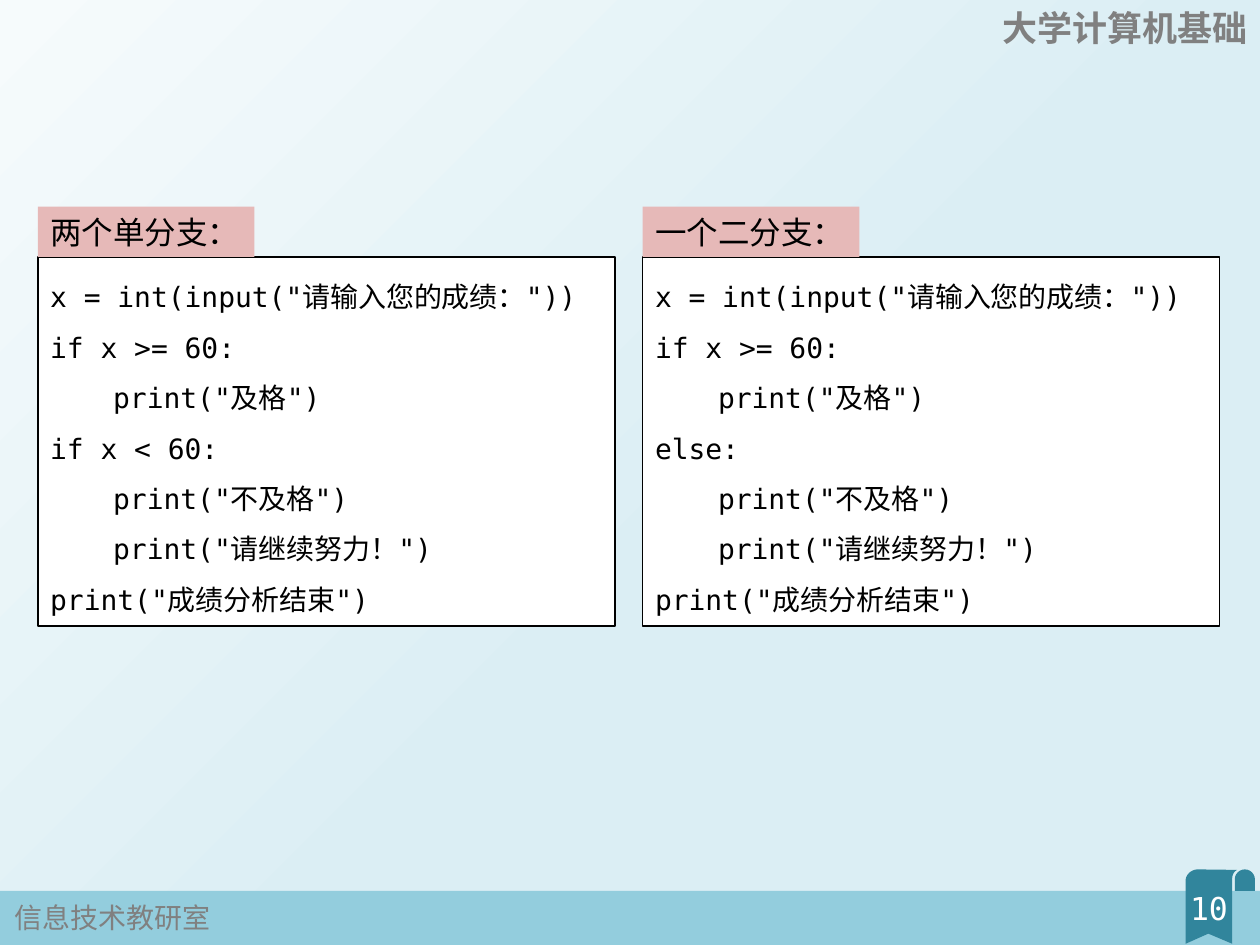
"""Build a slide comparing two single branches with one two-way branch."""
import math

import lxml.etree
import pptx
import pptx.dml.color
import pptx.enum.shapes
import pptx.enum.text
import pptx.oxml.ns
import pptx.util

Inches = pptx.util.Inches
RGBColor = pptx.dml.color.RGBColor
Align = pptx.enum.text.PP_ALIGN

BLACK = RGBColor(0x00, 0x00, 0x00)
WHITE = RGBColor(0xFF, 0xFF, 0xFF)
GRAY = RGBColor(0x80, 0x80, 0x80)
PINK = RGBColor(0xE6, 0xB9, 0xB8)
TEAL = RGBColor(0x31, 0x85, 0x9C)
SKY = RGBColor(0x93, 0xCD, 0xDD)
PALE = RGBColor(0xF6, 0xFB, 0xFC)
ICE = RGBColor(0xDB, 0xEE, 0xF4)

MONO = "DejaVu Sans Mono"
CJK = "Noto Sans CJK JP"


def arc(center_x, center_y, radius_x, radius_y, start, end, steps=12):
    angles = [math.radians(start + (end - start) * i / steps) for i in range(steps + 1)]
    return [(center_x + radius_x * math.cos(a), center_y - radius_y * math.sin(a))
            for a in angles]


class SlideBuilder:
    def __init__(self, slide):
        self.slide = slide

    def background(self, first, last, position):
        fill = self.slide.background.fill
        fill.gradient()
        fill.gradient_angle = 315
        for stop, color, place in zip(fill.gradient_stops, (first, last), (0, position)):
            stop.color.rgb = color
            stop.position = place

    def paint(self, shape, fill, line=None):
        shape.shadow.inherit = False
        shape.fill.solid()
        shape.fill.fore_color.rgb = fill
        if line is None:
            shape.line.fill.background()
        else:
            shape.line.color.rgb = line
            shape.line.width = pptx.util.Pt(1)

    def box(self, left, top, width, height, fill, line=None):
        shape = self.slide.shapes.add_shape(
            pptx.enum.shapes.MSO_SHAPE.RECTANGLE,
            Inches(left), Inches(top), Inches(width), Inches(height))
        self.paint(shape, fill, line)
        return shape

    def outline(self, contours, fill):
        builder = None
        for contour in contours:
            points = [(Inches(x), Inches(y)) for x, y in contour]
            if builder is None:
                builder = self.slide.shapes.build_freeform(*points[0], scale=1.0)
            else:
                builder.move_to(*points[0])
            builder.add_line_segments(points[1:], close=True)
        self.paint(builder.convert_to_shape(), fill)

    def set_text(self, shape, text, size, color=BLACK, font=MONO, bold=False,
                 align=Align.LEFT, spacing=None, wrap=True):
        frame = shape.text_frame
        frame.word_wrap = wrap
        frame.vertical_anchor = pptx.enum.text.MSO_ANCHOR.TOP
        frame.text = text
        for paragraph in frame.paragraphs:
            paragraph.alignment = align
            paragraph.line_spacing = spacing
            paragraph.font.size = pptx.util.Pt(size)
            paragraph.font.bold = bold
            paragraph.font.color.rgb = color
            paragraph.font.name = font
            properties = paragraph._p.pPr.find(pptx.oxml.ns.qn("a:defRPr"))
            east_asian = lxml.etree.SubElement(properties, pptx.oxml.ns.qn("a:ea"))
            east_asian.set("typeface", CJK)

    def text(self, left, top, width, height, text, size, **style):
        shape = self.slide.shapes.add_textbox(
            Inches(left), Inches(top), Inches(width), Inches(height))
        self.set_text(shape, text, size, **style)

    def code_panel(self, left, label, code):
        self.set_text(self.box(left, 2.04, 4.58, 2.93, WHITE, BLACK), code, 16, spacing=1.5)
        self.set_text(self.box(left, 1.64, 1.72, 0.4, PINK), label, 18, wrap=False)


CODE = """x = int(input("请输入您的成绩："))
if x >= 60:
\tprint("及格")
{branch}:
\tprint("不及格")
\tprint("请继续努力！")
print("成绩分析结束")"""

PANELS = [("两个单分支：", "if x < 60"), ("一个二分支：", "else")]

ROLL = arc(9.88, 6.98, 0.08, 0.08, 180, 0) + [(9.96, 7.07), (9.8, 7.07)]
RIBBON = (arc(9.51, 6.99, 0.1, 0.09, 180, 90) + arc(9.84, 6.97, 0.06, 0.07, 110, 180)
          + [(9.78, 7.49), (9.59, 7.41), (9.41, 7.49)])

presentation = pptx.Presentation()
presentation.slide_width = Inches(10)
presentation.slide_height = Inches(7.5)
builder = SlideBuilder(presentation.slides.add_slide(presentation.slide_layouts[6]))

builder.background(PALE, ICE, 0.56)
builder.box(0, 7.07, 10, 0.43, SKY)
builder.outline([ROLL, RIBBON], TEAL)
builder.text(0.02, 7.1, 1.77, 0.37, "信息技术教研室", 16, color=GRAY, font=CJK, wrap=False)
builder.text(7.83, 0, 2.17, 0.44, "大学计算机基础", 20, color=GRAY, font=CJK, bold=True,
             align=Align.RIGHT)
builder.text(9.24, 7.01, 0.71, 0.4, "10", 18, color=WHITE, align=Align.CENTER)
for index, (label, branch) in enumerate(PANELS):
    builder.code_panel(0.3 + 4.8 * index, label, CODE.format(branch=branch))

presentation.save("out.pptx")
